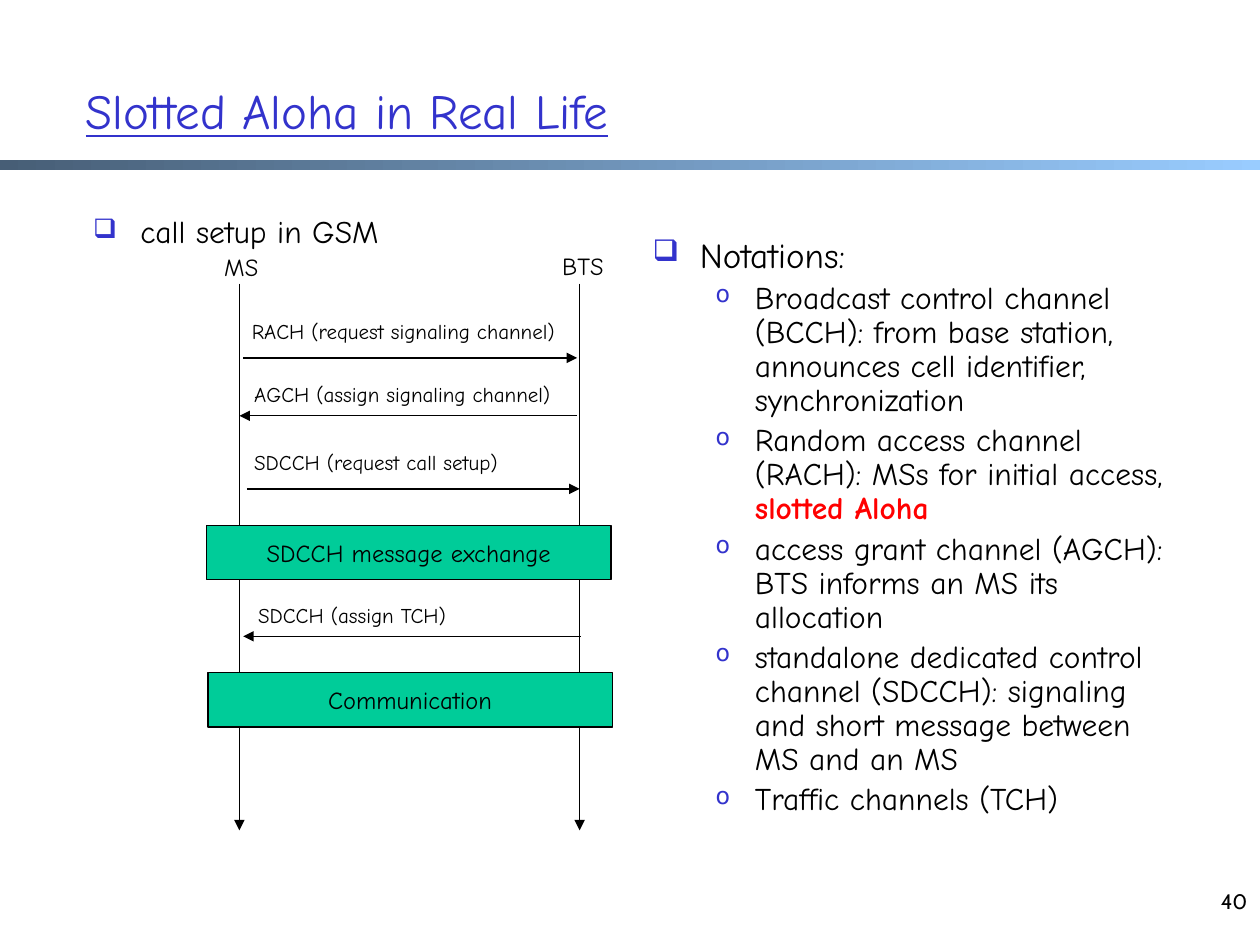
from lxml.etree import SubElement as Sub
from pptx import Presentation
from pptx.dml.color import RGBColor as RGB
from pptx.enum.shapes import MSO_CONNECTOR as Conn, MSO_SHAPE as Form
from pptx.enum.text import MSO_ANCHOR as Anchor, PP_ALIGN as Align
from pptx.oxml.ns import qn
from pptx.util import Pt

BLACK, RED, BLUE = RGB(0, 0, 0), RGB(255, 0, 0), RGB(0x33, 0x33, 0xCC)
GREEN, STEEL, SKY = RGB(0, 0xCC, 0x99), RGB(0x47, 0x5E, 0x76), RGB(0x99, 0xCC, 0xFF)
FACE = "Comic Neue"

TITLE = "Slotted Aloha in Real Life"
TOPIC = [(0, 18, ["call setup in GSM"])]
NOTES = [(0, 20, ["Notations:"])] + [(1, 18, runs) for runs in (
    ["Broadcast control channel (BCCH): from base station, "
     "announces cell identifier, synchronization"],
    ["Random access channel (RACH): MSs for initial access, ", "slotted Aloha"],
    ["access grant channel (AGCH): BTS informs an MS its allocation"],
    ["standalone dedicated control channel (SDCCH): signaling "
     "and short message between MS and an MS"],
    ["Traffic channels (TCH)"],
)]
LEVELS = [("❑", 85, 27, 27), ("o", 75, 58.5, 22.5)]
ENDS = [("MS", 136.8, 119.5, 140.4, 36.7), ("BTS", 331.2, 311.8, 139.7, 42.5)]
CALLS = [
    ("RACH (request signaling channel)", 139, 329.8, 204.5, 136.8, 178.6, 200),
    ("AGCH (assign signaling channel)", 329.8, 136.8, 237.6, 138.2, 214.6, 192),
    ("SDCCH (request call setup)", 141.1, 331.2, 279.4, 138.2, 253.4, 168.5),
    ("SDCCH (assign TCH)", 331.9, 139, 363.6, 140.4, 340.6, 130.3),
]
STAGES = [("SDCCH message exchange", 118.1, 300.2), ("Communication", 118.8, 384.5)]

deck = Presentation()
deck.slide_width, deck.slide_height = Pt(720), Pt(540)
slide = deck.slides.add_slide(deck.slide_layouts[5])
shapes = slide.shapes


def style(par, size, color=BLACK, face=FACE, align=Align.LEFT):
    par.alignment = align
    font = par.font
    font.size, font.name, font.color.rgb = Pt(size), face, color


def box(x, y, w, h, wrap=True):
    frame = shapes.add_textbox(Pt(x), Pt(y), Pt(w), Pt(h)).text_frame
    frame.word_wrap = wrap
    return frame


def label(text, x, y, w, h, size, align=Align.LEFT, face=FACE):
    par = box(x, y, w, h, False).paragraphs[0]
    par.text = text
    style(par, size, face=face, align=align)


def bullet(par, level):
    sign, scale, left, hang = LEVELS[level]
    props = par._p.get_or_add_pPr()
    props.set("marL", str(Pt(left)))
    props.set("indent", str(-Pt(hang)))
    Sub(Sub(props, qn("a:buClr")), qn("a:srgbClr"), val=str(BLUE))
    Sub(props, qn("a:buSzPct"), val=str(scale * 1000))
    Sub(props, qn("a:buChar"), char=sign)


def outline(items, x, y, w, h):
    frame = box(x, y, w, h)
    for i, (level, size, runs) in enumerate(items):
        par = frame.add_paragraph() if i else frame.paragraphs[0]
        bullet(par, level)
        par.level, par.line_spacing = level, 0.9
        if i:
            par.space_before = Pt(size * 0.2)
        style(par, size)
        for j, text in enumerate(runs):
            run = par.add_run()
            run.text = text
            if j:
                run.font.bold, run.font.color.rgb = True, RED


def arrow(x1, y1, x2, y2):
    line = shapes.add_connector(Conn.STRAIGHT, Pt(x1), Pt(y1), Pt(x2), Pt(y2))
    line.line.color.rgb, line.line.width = BLACK, Pt(0.75)
    Sub(line.line._get_or_add_ln(), qn("a:tailEnd"), type="triangle")
    Sub(line._element.spPr, qn("a:effectLst"))


def block(x, y, w, h):
    rect = shapes.add_shape(Form.RECTANGLE, Pt(x), Pt(y), Pt(w), Pt(h))
    rect.shadow.inherit = False
    return rect


bar = block(0, 91.4, 720, 5.8)
bar.line.fill.background()
bar.fill.gradient()
bar.fill.gradient_angle = 0
for stop, color in zip(bar.fill.gradient_stops, (STEEL, SKY)):
    stop.color.rgb = color

title = shapes.title
title.left, title.top, title.width, title.height = Pt(41.8), Pt(18), Pt(632.2), Pt(90)
title.text_frame.text = TITLE
title.text_frame.vertical_anchor = Anchor.MIDDLE
head = title.text_frame.paragraphs[0]
style(head, 28, BLUE)
head.font.underline = True

label("40", 552.2, 504, 167.8, 36, 12, Align.RIGHT, "Cabin")
outline(NOTES, 365.8, 132.5, 314.6, 385.9)
outline(TOPIC, 46.1, 120.2, 300.2, 365.8)

for name, axis, x, y, w in ENDS:
    arrow(axis, 162, axis, 474.5)
    label(name, x, y, w, 23.8, 14, Align.CENTER)

for text, start, end, level, x, y, w in CALLS:
    arrow(start, level, end, level)
    label(text, x, y, w, 21.6, 12)

for text, x, y in STAGES:
    rect = block(x, y, 231.1, 31)
    rect.fill.solid()
    rect.fill.fore_color.rgb = GREEN
    rect.line.color.rgb, rect.line.width = BLACK, Pt(0.75)
    frame = rect.text_frame
    frame.text, frame.word_wrap = text, False
    frame.vertical_anchor = Anchor.MIDDLE
    style(frame.paragraphs[0], 14, align=Align.CENTER)

deck.save("out.pptx")
